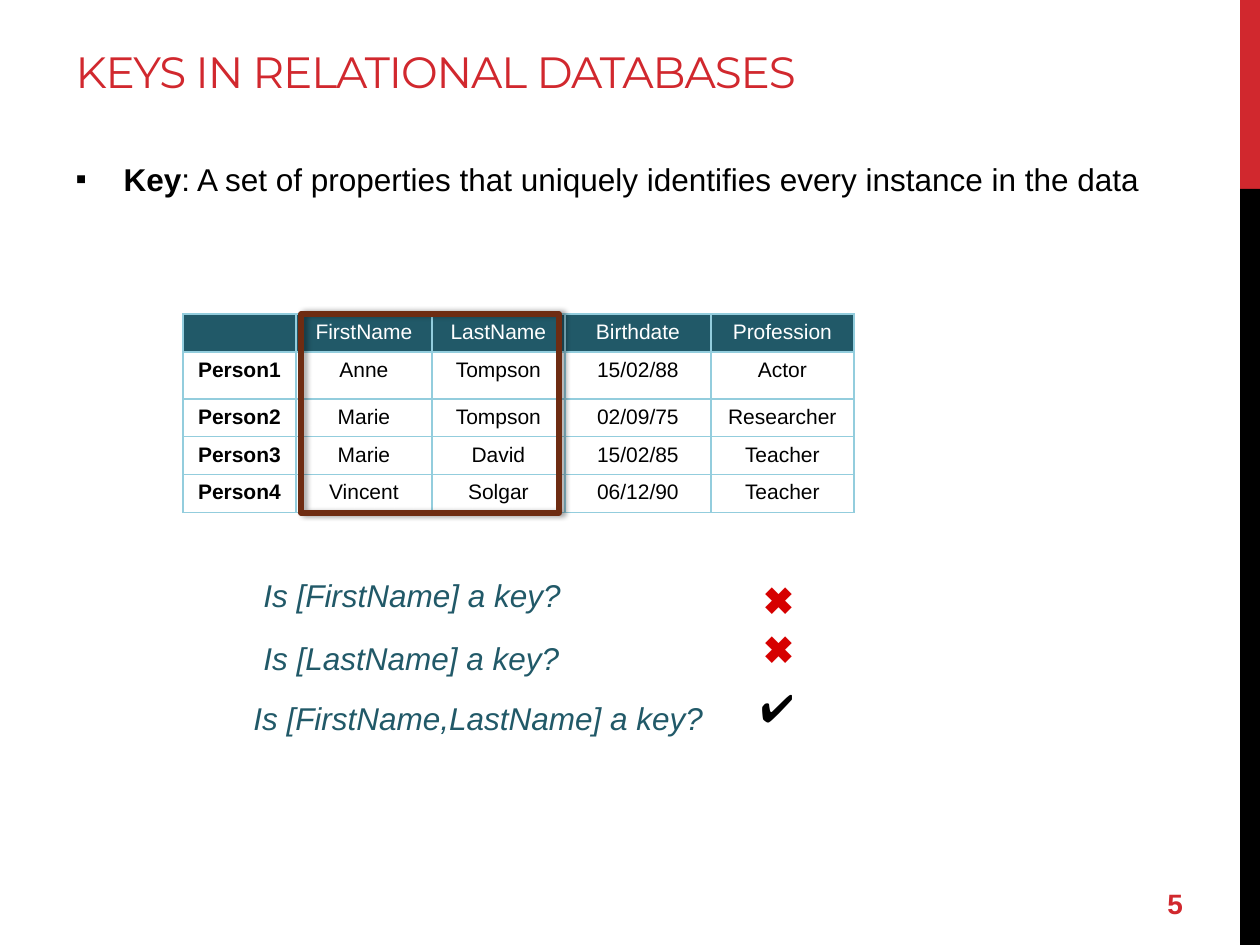
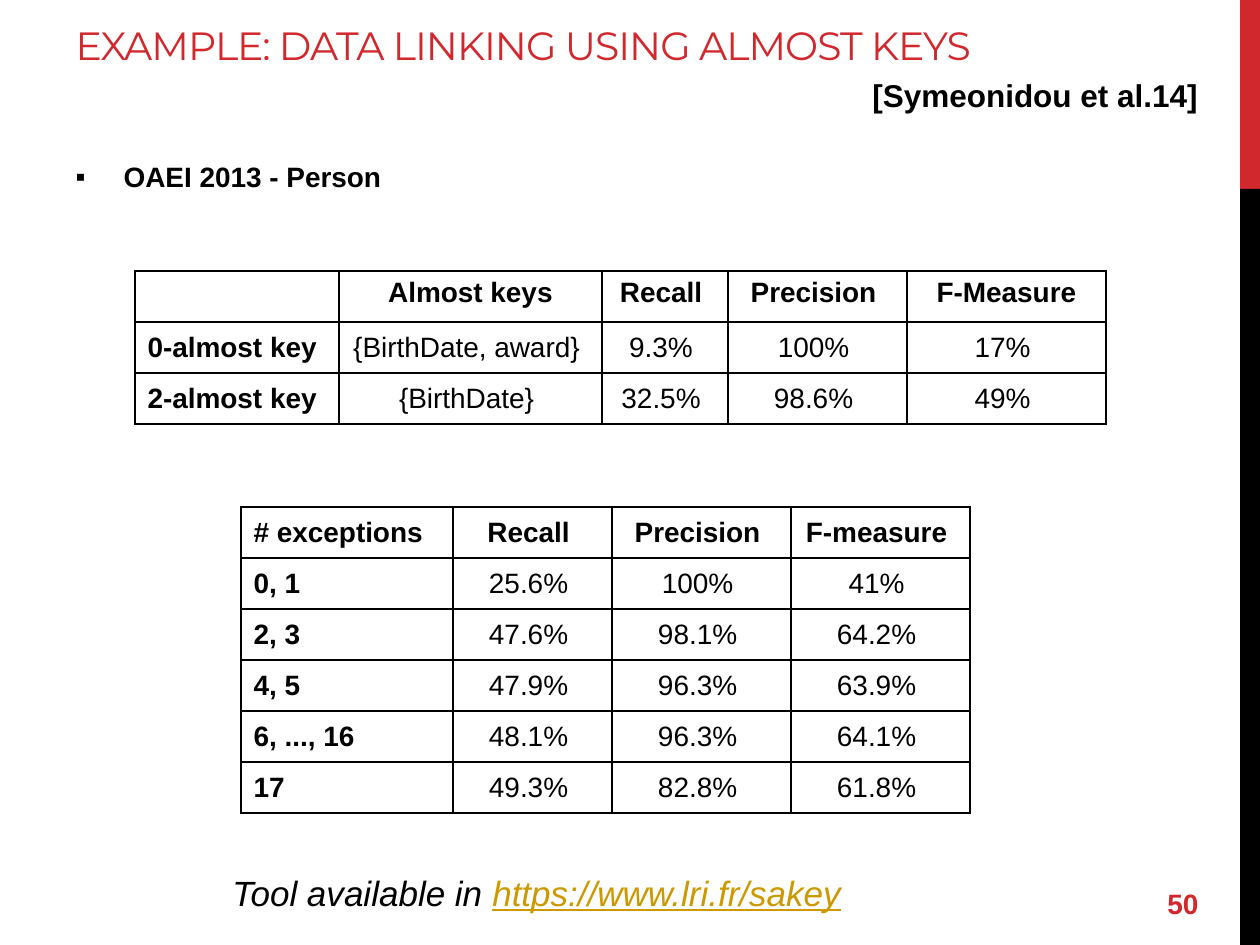
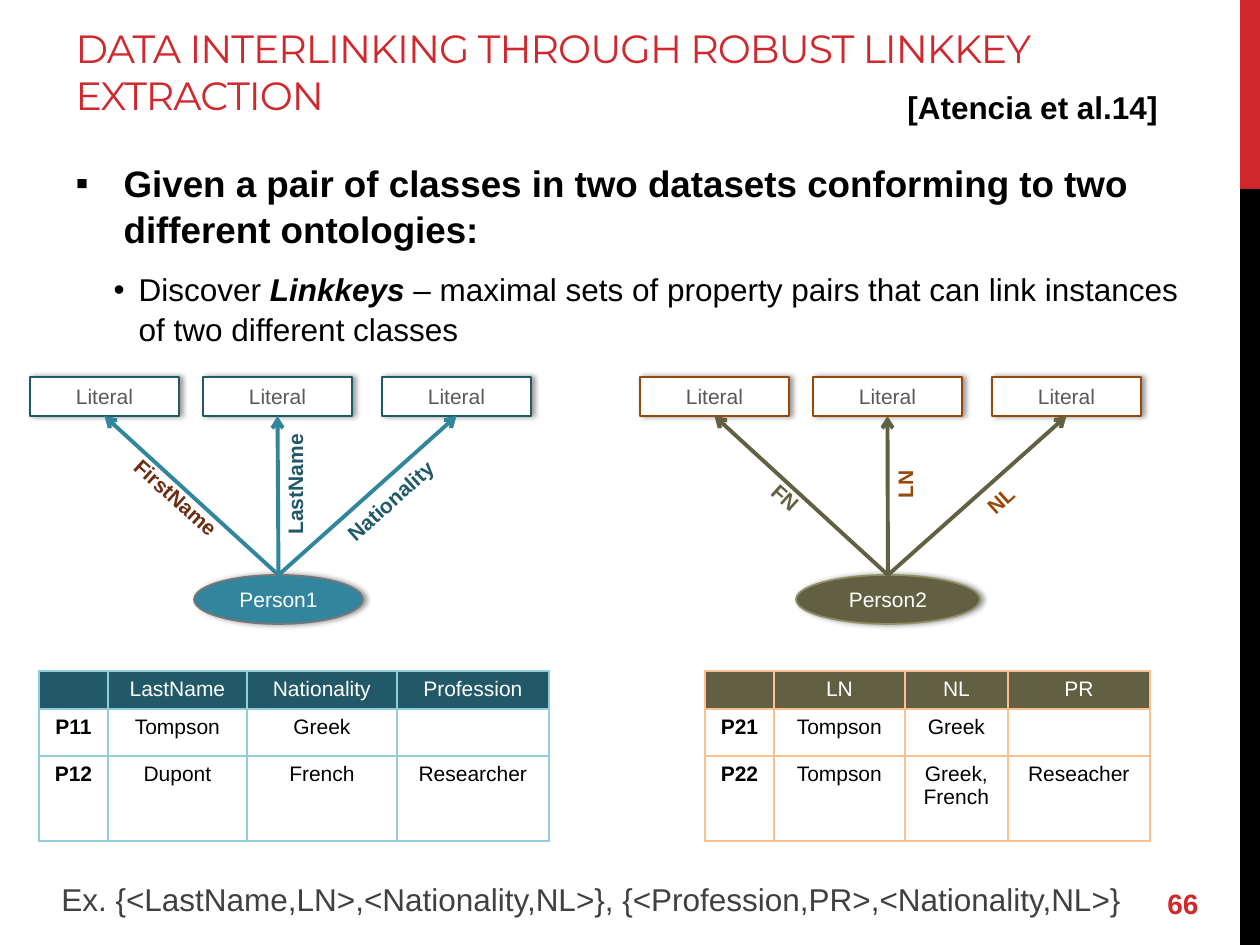
import pptx
import pptx.util
import pptx.dml.color
import pptx.enum.shapes
import pptx.enum.text
import pptx.oxml
import pptx.oxml.ns
import lxml.etree

RGB = pptx.dml.color.RGBColor
SHAPE = pptx.enum.shapes.MSO_SHAPE
ANCHOR = pptx.enum.text.MSO_ANCHOR
ALIGN = pptx.enum.text.PP_ALIGN

RED = RGB(0xD1, 0x28, 0x2E)
BLACK = RGB(0x00, 0x00, 0x00)
WHITE = RGB(0xFF, 0xFF, 0xFF)
DARK_TEAL = RGB(0x21, 0x59, 0x68)
TEAL = RGB(0x31, 0x85, 0x9C)
PALE_TEAL = RGB(0x93, 0xCD, 0xDD)
OLIVE = RGB(0x61, 0x60, 0x42)
PALE_OLIVE = RGB(0x91, 0x90, 0x64)
PEACH = RGB(0xFA, 0xC0, 0x90)
RUST = RGB(0x98, 0x48, 0x07)
BROWN = RGB(0x6E, 0x2C, 0x12)
CROSS_RED = RGB(0xD6, 0x00, 0x00)
LINK_GOLD = RGB(0xCC, 0x99, 0x00)
GRAY = RGB(0x77, 0x77, 0x77)
LITERAL_GRAY = RGB(0x59, 0x59, 0x59)
EXAMPLE_GRAY = RGB(0x40, 0x40, 0x40)

EMU_PER_PX = 914400 / 126
BODY_FONT = "Arial"
TITLE_FONT = "Montserrat"
BULLETS = [("▪", 48, -48), ("•", 63, -25)]


def px(length):
    return pptx.util.Emu(round(length * EMU_PER_PX))


def place(part, left, top, width, height):
    part.left, part.top = px(left), px(top)
    part.width, part.height = px(width), px(height)


def add_xml(parent, tag, **attributes):
    child = lxml.etree.SubElement(parent, pptx.oxml.ns.qn(tag))
    for name, value in attributes.items():
        child.set(name, str(value))
    return child


def add_run(paragraph, text, size, color=BLACK, bold=False, italic=False,
            underline=False, font=BODY_FONT):
    run = paragraph.add_run()
    run.text = text
    run.font.name = font
    run.font.size = pptx.util.Pt(size)
    run.font.color.rgb = color
    run.font.bold = bold
    run.font.italic = italic
    run.font.underline = underline
    return run


def add_text(slide, box, runs, wrap=False, anchor=ANCHOR.TOP):
    holder = slide.shapes.add_textbox(*map(px, box))
    frame = holder.text_frame
    frame.word_wrap = wrap
    frame.vertical_anchor = anchor
    for text, style in runs:
        add_run(frame.paragraphs[0], text, **style)
    return holder


def add_block(slide, kind, box, fill=None, line=None, line_width=1, shadow=False):
    block = slide.shapes.add_shape(kind, *map(px, box))
    block.shadow.inherit = False
    if fill is None:
        block.fill.background()
    else:
        block.fill.solid()
        block.fill.fore_color.rgb = fill
    if line is None:
        block.line.fill.background()
    else:
        block.line.color.rgb = line
        block.line.width = pptx.util.Pt(line_width)
    if shadow:
        effects = block._element.spPr.find(pptx.oxml.ns.qn("a:effectLst"))
        outer = add_xml(effects, "a:outerShdw", blurRad=40000, dist=23000,
                        dir=0, rotWithShape=0)
        tint = add_xml(outer, "a:srgbClr", val="000000")
        add_xml(tint, "a:alpha", val=40000)
    return block


def add_labelled(slide, kind, box, label, color, fill, line):
    block = add_block(slide, kind, box, fill, line, shadow=True)
    block.text_frame.vertical_anchor = ANCHOR.MIDDLE
    paragraph = block.text_frame.paragraphs[0]
    paragraph.alignment = ALIGN.CENTER
    add_run(paragraph, label, 12, color)
    return block


def fill_title(holder, text, size, anchor):
    place(holder, 63, 21, 1142, 106)
    frame = holder.text_frame
    frame.auto_size = pptx.enum.text.MSO_AUTO_SIZE.NONE
    frame.vertical_anchor = anchor
    frame.margin_top, frame.margin_bottom = 0, px(6)
    paragraph = frame.paragraphs[0]
    paragraph.alignment = ALIGN.LEFT
    run = add_run(paragraph, text, size, RED, font=TITLE_FONT)
    run.font._element.set("spc", "-60")


def fill_body(holder, items):
    place(holder, 63, 152, 1142, 692)
    frame = holder.text_frame
    frame.auto_size = pptx.enum.text.MSO_AUTO_SIZE.NONE
    for index, (level, runs) in enumerate(items):
        paragraph = frame.add_paragraph() if index else frame.paragraphs[0]
        mark, margin, indent = BULLETS[level]
        properties = paragraph._p.get_or_add_pPr()
        properties.set("marL", str(px(margin)))
        properties.set("indent", str(px(indent)))
        add_xml(properties, "a:buFont", typeface=BODY_FONT)
        add_xml(properties, "a:buChar", char=mark)
        paragraph.level = level
        paragraph.line_spacing = 1.05
        paragraph.space_before = pptx.util.Pt(4 if index else 0)
        paragraph.space_after = pptx.util.Pt(0 if level else 6)
        for text, style in runs:
            add_run(paragraph, text, **style)


def add_base_slide(deck, number, title, title_size, items, title_anchor=ANCHOR.MIDDLE):
    slide = deck.slides.add_slide(deck.slide_layouts[1])
    add_block(slide, SHAPE.RECTANGLE, (1240, 0, 20, 189), RED)
    add_block(slide, SHAPE.RECTANGLE, (1240, 189, 20, 756), BLACK)
    fill_title(slide.shapes.title, title, title_size, title_anchor)
    fill_body(slide.placeholders[1], items)
    add_text(slide, (1155, 878, 105, 50),
             [(str(number), dict(size=16, color=RED, bold=True))],
             wrap=True, anchor=ANCHOR.MIDDLE)
    return slide


def format_cell(cell, text, size, color, bold, align, anchor, fill, border):
    cell.vertical_anchor = anchor
    properties = cell._tc.get_or_add_tcPr()
    for side in ("a:lnL", "a:lnR", "a:lnT", "a:lnB"):
        edge = add_xml(properties, side, w=12700)
        add_xml(add_xml(edge, "a:solidFill"), "a:srgbClr", val=border)
    if fill is None:
        cell.fill.background()
    else:
        cell.fill.solid()
        cell.fill.fore_color.rgb = fill
    for index, line in enumerate(text.split("\n")):
        frame = cell.text_frame
        paragraph = frame.add_paragraph() if index else frame.paragraphs[0]
        paragraph.alignment = align
        if line:
            add_run(paragraph, line, size, color, bold)
        else:
            paragraph._p.get_or_add_endParaRPr().set("sz", str(size * 100))


def add_grid(slide, left, top, widths, heights, rows, style):
    table = slide.shapes.add_table(len(rows), len(widths), px(left), px(top),
                                   px(sum(widths)), px(sum(heights))).table
    table.first_row = table.horz_banding = False
    for column, width in zip(table.columns, widths):
        column.width = px(width)
    for table_row, height in zip(table.rows, heights):
        table_row.height = px(height)
    for r, row in enumerate(rows):
        for c, text in enumerate(row):
            style(table.cell(r, c), text, r == 0, c == 0)


def instance_style(header_fill, border):
    def style(cell, text, is_header, is_name):
        format_cell(cell, text, 12, WHITE if is_header else BLACK,
                    is_name and not is_header, ALIGN.CENTER, ANCHOR.TOP,
                    header_fill if is_header else None, border)
    return style


def result_style(header_anchor):
    def style(cell, text, is_header, is_name):
        format_cell(cell, text, 16, BLACK, is_header or is_name,
                    ALIGN.LEFT if is_name else ALIGN.CENTER,
                    header_anchor if is_header else ANCHOR.MIDDLE, None, BLACK)
    return style


def add_question(slide, box, question, mark_box, mark, mark_color):
    add_text(slide, box, [(question, dict(size=18, color=DARK_TEAL, italic=True))])
    add_text(slide, mark_box, [(mark, dict(size=22, color=mark_color))])


def add_entity_graph(slide, left, top, name, oval_width, oval_fill, oval_line,
                     literal_line, labels):
    oval = add_labelled(slide, SHAPE.OVAL,
                        (left + 248 - oval_width // 2, top + 198, oval_width, 49),
                        name, WHITE, oval_fill, oval_line)
    spots = [(0, 146, 121, 42), (173, 265, 107, 270), (352, 361, 123, 318)]
    for (offset, center_x, center_y, angle), (label, width, color) in zip(spots, labels):
        literal = add_labelled(slide, SHAPE.RECTANGLE, (left + offset, top, 149, 39),
                               "Literal", LITERAL_GRAY, WHITE, literal_line)
        arrow = slide.shapes.add_connector(
            pptx.enum.shapes.MSO_CONNECTOR.STRAIGHT, 0, 0, 0, 0)
        arrow.begin_connect(oval, 0)
        arrow.end_connect(literal, 2)
        arrow.line.color.rgb = oval_fill
        arrow.line.width = pptx.util.Pt(2.25)
        add_xml(arrow.line._get_or_add_ln(), "a:tailEnd", type="arrow")
        add_xml(arrow._element.spPr, "a:effectLst")
        tag = add_text(slide, (left + center_x - width // 2, top + center_y - 19, width, 38),
                       [(label, dict(size=12, color=color, bold=True))])
        tag.rotation = angle


def build_keys_slide(deck):
    slide = add_base_slide(deck, 5, "KEYS IN RELATIONAL DATABASES", 25, [
        (0, [("Key", dict(size=18, bold=True)),
             (": A set of properties that uniquely identifies every instance in the data",
              dict(size=18))])])
    add_grid(slide, 183, 314, [113, 136, 133, 146, 143], [36, 47, 36, 37, 37], [
        ["", "FirstName", "LastName", "Birthdate", "Profession"],
        ["Person1", "Anne", "Tompson", "15/02/88", "Actor"],
        ["Person2", "Marie", "Tompson", "02/09/75", "Researcher"],
        ["Person3", "Marie", "David", "15/02/85", "Teacher"],
        ["Person4", "Vincent", "Solgar", "06/12/90", "Teacher"],
    ], instance_style(DARK_TEAL, PALE_TEAL))
    add_block(slide, SHAPE.RECTANGLE, (301, 314, 258, 199), line=BROWN,
              line_width=3, shadow=True)
    add_question(slide, (251, 570, 326, 50), "Is [FirstName] a key?",
                 (751, 570, 55, 59), "✖", CROSS_RED)
    add_question(slide, (251, 633, 324, 50), "Is [LastName] a key?",
                 (751, 619, 55, 59), "✖", CROSS_RED)
    add_question(slide, (241, 693, 480, 50), "Is [FirstName,LastName] a key?",
                 (748, 678, 58, 59), "✔", BLACK)


def build_almost_keys_slide(deck):
    slide = add_base_slide(deck, 50, "EXAMPLE: DATA LINKING USING ALMOST KEYS", 22.5, [
        (0, [("OAEI 2013 - Person", dict(size=16, bold=True))])], ANCHOR.TOP)
    add_grid(slide, 135, 271, [204, 263, 126, 179, 199], [51] * 3, [
        ["", "Almost keys", "Recall ", "Precision ", "F-Measure"],
        ["0-almost key", "{BirthDate, award} ", "9.3% ", "100% ", "17% "],
        ["2-almost key", "{BirthDate} ", "32.5% ", "98.6% ", "49% "],
    ], result_style(ANCHOR.TOP))
    add_grid(slide, 241, 507, [212, 159, 179, 179], [51] * 6, [
        ["# exceptions", "Recall ", "Precision ", "F-measure "],
        ["0, 1", "25.6% ", "100% ", "41% "],
        ["2, 3", "47.6% ", "98.1% ", "64.2% "],
        ["4, 5", "47.9% ", "96.3% ", "63.9% "],
        ["6, ..., 16", "48.1% ", "96.3% ", "64.1% "],
        ["17", "49.3% ", "82.8% ", "61.8% "],
    ], result_style(ANCHOR.MIDDLE))
    add_text(slide, (860, 70, 354, 50),
             [("[Symeonidou et al.14]", dict(size=18, bold=True))])
    add_text(slide, (220, 865, 730, 55), [
        ("Tool available in ", dict(size=20, italic=True)),
        ("https://www.lri.fr/sakey",
         dict(size=20, color=LINK_GOLD, italic=True, underline=True))], wrap=True)


def build_linkkey_slide(deck):
    slide = add_base_slide(
        deck, 66, "DATA INTERLINKING THROUGH ROBUST LINKKEY EXTRACTION", 22.5, [
            (0, [("Given a pair of classes in two datasets conforming to two "
                  "different ontologies:", dict(size=21, bold=True))]),
            (1, [("Discover ", dict(size=18)),
                 ("Linkkeys", dict(size=18, bold=True, italic=True)),
                 (" – maximal sets of property pairs that can link instances "
                  "of two different classes", dict(size=18))])])
    add_text(slide, (895, 82, 278, 50),
             [("[Atencia et al.14]", dict(size=18, bold=True))])
    add_entity_graph(slide, 30, 377, "Person1", 169, TEAL, GRAY, DARK_TEAL, [
        ("FirstName", 129, BROWN), ("LastName", 126, DARK_TEAL),
        ("Nationality", 134, DARK_TEAL)])
    add_entity_graph(slide, 640, 377, "Person2", 184, OLIVE, PALE_OLIVE, RUST, [
        ("FN", 54, OLIVE), ("LN", 54, RUST), ("NL", 54, RUST)])
    row_heights = [38, 47, 85]
    add_grid(slide, 39, 671, [69, 139, 150, 152], row_heights, [
        ["", "LastName", "Nationality", "Profession"],
        ["P11", "Tompson", "Greek", ""],
        ["P12", "Dupont", "French", "Researcher"],
    ], instance_style(DARK_TEAL, PALE_TEAL))
    add_grid(slide, 705, 671, [69, 131, 103, 142], row_heights, [
        ["", "LN", "NL", "PR"],
        ["P21", "Tompson", "Greek", ""],
        ["P22", "Tompson", "Greek,\nFrench", "Reseacher"],
    ], instance_style(OLIVE, PEACH))
    add_text(slide, (49, 874, 1110, 50), [
        ("Ex. {<LastName,LN>,<Nationality,NL>}, {<Profession,PR>,<Nationality,NL>}",
         dict(size=18, color=EXAMPLE_GRAY))], wrap=True)


def main():
    deck = pptx.Presentation()
    deck.slide_width, deck.slide_height = px(1260), px(945)
    build_keys_slide(deck)
    build_almost_keys_slide(deck)
    build_linkkey_slide(deck)
    deck.save("out.pptx")


if __name__ == "__main__":
    main()
